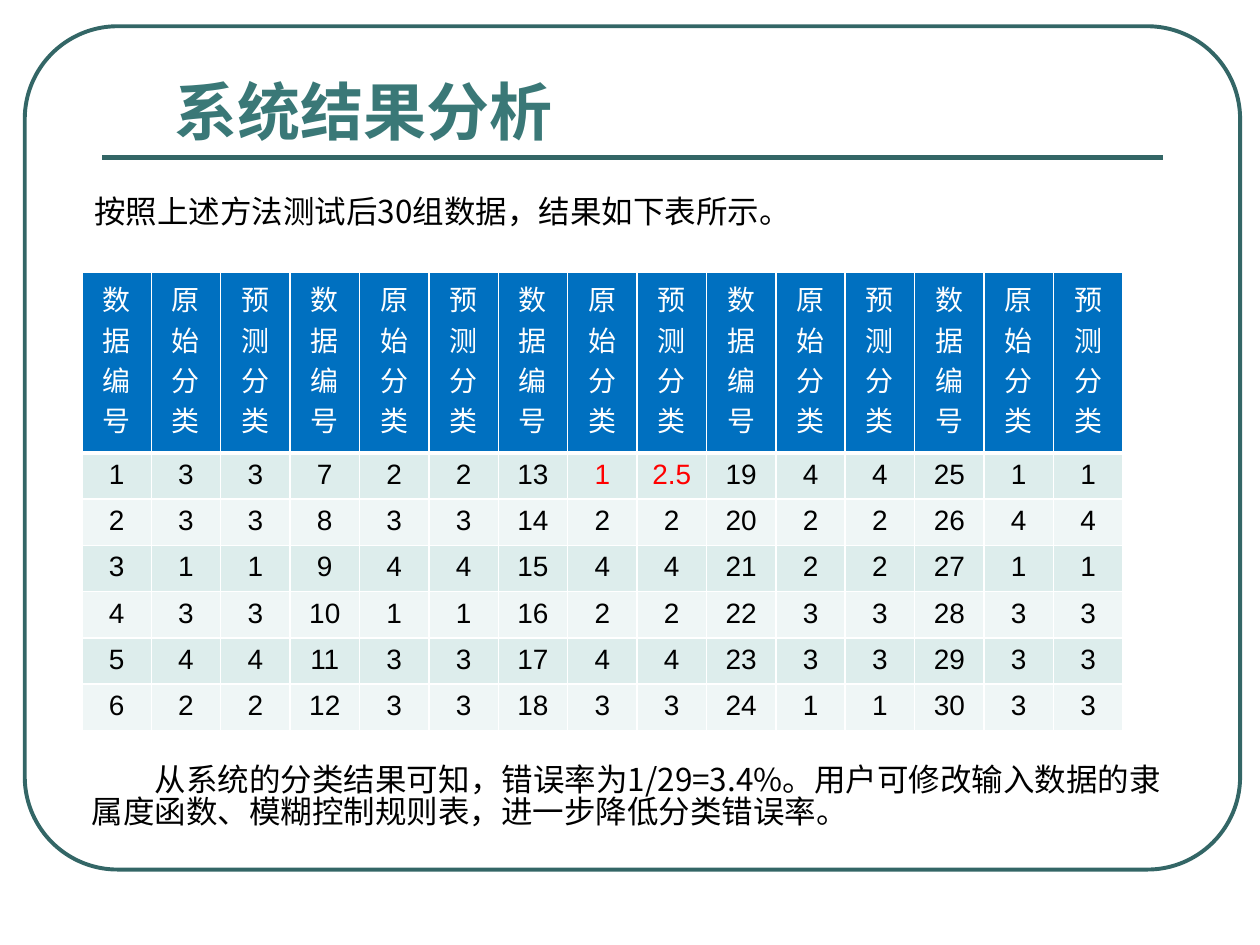
"""Build a slide that reports classification test results in a table."""
import lxml.etree
import pptx
import pptx.dml.color
import pptx.enum.shapes
import pptx.enum.text
import pptx.oxml.ns
import pptx.util

Cm = pptx.util.Cm
Pt = pptx.util.Pt
qn = pptx.oxml.ns.qn
ALIGN = pptx.enum.text.PP_ALIGN
CJK_FONT = "Noto Sans CJK SC"
FRAME_COLOR = "336666"
HEADERS = ["数据编号", "原始分类", "预测分类"]
GROUP_COUNT = 5
GROUP_SIZE = 6
ORIGINAL_CLASSES = [
    "3", "3", "1", "3", "4", "2", "2", "3", "4", "1", "3", "3", "1", "2", "4",
    "2", "4", "3", "4", "2", "2", "3", "3", "1", "1", "4", "1", "3", "3", "3",
]
MISCLASSIFIED = {13: "2.5"}


def color(value):
    return pptx.dml.color.RGBColor.from_string(value)


def format_paragraph(paragraph, size, font_name, font_color, bold=False, align=ALIGN.LEFT):
    paragraph.alignment = align
    font = paragraph.font
    font.size = Pt(size)
    font.name = font_name
    font.bold = bold
    font.color.rgb = color(font_color)
    properties = paragraph._p.get_or_add_pPr().find(qn("a:defRPr"))
    east_asian = lxml.etree.Element(qn("a:ea"), typeface=CJK_FONT)
    properties.find(qn("a:latin")).addnext(east_asian)


def add_frame(slide):
    frame = slide.shapes.add_shape(
        pptx.enum.shapes.MSO_SHAPE.ROUNDED_RECTANGLE,
        Cm(0.5), Cm(0.53), Cm(24.5), Cm(17))
    frame.adjustments[0] = 0.11
    frame.shadow.inherit = False
    frame.fill.background()
    frame.line.color.rgb = color(FRAME_COLOR)
    frame.line.width = Pt(2.25)


def add_rule(slide):
    rule = slide.shapes.add_connector(
        pptx.enum.shapes.MSO_CONNECTOR.STRAIGHT,
        Cm(2.06), Cm(3.17), Cm(23.45), Cm(3.17))
    rule.line.color.rgb = color(FRAME_COLOR)
    rule.line.width = Pt(3)
    lxml.etree.SubElement(rule._element.spPr, qn("a:effectLst"))


def set_title(slide, text):
    title = slide.shapes.title
    title.left, title.top, title.width, title.height = Cm(2.69), Cm(1.32), Cm(22.8), Cm(1.8)
    frame = title.text_frame
    frame.auto_size = pptx.enum.text.MSO_AUTO_SIZE.NONE
    frame.margin_left = Cm(0.82)
    frame.text = text
    format_paragraph(frame.paragraphs[0], 36, "DejaVu Sans", "3A7877", bold=True)


def add_body_text(slide, text, left, top, width, height, align=ALIGN.LEFT, indent=0):
    frame = slide.shapes.add_textbox(Cm(left), Cm(top), Cm(width), Cm(height)).text_frame
    frame.word_wrap = True
    frame.text = text
    paragraph = frame.paragraphs[0]
    format_paragraph(paragraph, 18, CJK_FONT, "000000", align=align)
    paragraph.line_spacing = 0.85
    paragraph._p.get_or_add_pPr().set("indent", str(Cm(indent)))


def set_borders(cell, top, bottom):
    properties = cell._tc.get_or_add_tcPr()
    for side, width in (("L", 1), ("R", 1), ("T", top), ("B", bottom)):
        line = lxml.etree.SubElement(properties, qn(f"a:ln{side}"), w=str(Pt(width)))
        fill = lxml.etree.SubElement(line, qn("a:solidFill"))
        lxml.etree.SubElement(fill, qn("a:srgbClr"), val="FFFFFF")


def fill_cell(cell, text, font_color, fill_color, top=1, bottom=1):
    cell.text = text
    format_paragraph(cell.text_frame.paragraphs[0], 16, "Arial", font_color, align=ALIGN.CENTER)
    set_borders(cell, top, bottom)
    cell.fill.solid()
    cell.fill.fore_color.rgb = color(fill_color)


def add_results_table(slide):
    column_count = GROUP_COUNT * len(HEADERS)
    table = slide.shapes.add_table(
        GROUP_SIZE + 1, column_count, Cm(1.65), Cm(5.49), Cm(21), Cm(9.22)).table
    table.horz_banding = False
    for column in table.columns:
        column.width = Cm(1.4)
    for index, row in enumerate(table.rows):
        row.height = Cm(0.93 if index else 3.64)
    for column in range(column_count):
        header = HEADERS[column % len(HEADERS)]
        fill_cell(table.cell(0, column), header, "FFFFFF", "0070C0", bottom=3)
    for index, original in enumerate(ORIGINAL_CLASSES):
        number = index + 1
        group, row = divmod(index, GROUP_SIZE)
        band = "EFF6F6" if row % 2 else "DDEDEC"
        class_color = "FF0000" if number in MISCLASSIFIED else "000000"
        values = [str(number), original, MISCLASSIFIED.get(number, original)]
        for offset, value in enumerate(values):
            cell = table.cell(row + 1, group * len(HEADERS) + offset)
            fill_cell(cell, value, class_color if offset else "000000", band,
                      top=1 if row else 3)


def main():
    presentation = pptx.Presentation()
    presentation.slide_width = Cm(25.4)
    presentation.slide_height = Cm(19.05)
    slide = presentation.slides.add_slide(presentation.slide_layouts[5])
    add_frame(slide)
    add_rule(slide)
    add_body_text(slide, "按照上述方法测试后30组数据，结果如下表所示。", 1.65, 3.86, 22.45, 1.02)
    add_results_table(slide)
    add_body_text(
        slide,
        "从系统的分类结果可知，错误率为1/29=3.4%。用户可修改输入数据的"
        "隶属度函数、模糊控制规则表，进一步降低分类错误率。",
        1.6, 15.32, 22.05, 1.8, align=ALIGN.JUSTIFY, indent=1.27)
    set_title(slide, "系统结果分析")
    presentation.save("out.pptx")


if __name__ == "__main__":
    main()
